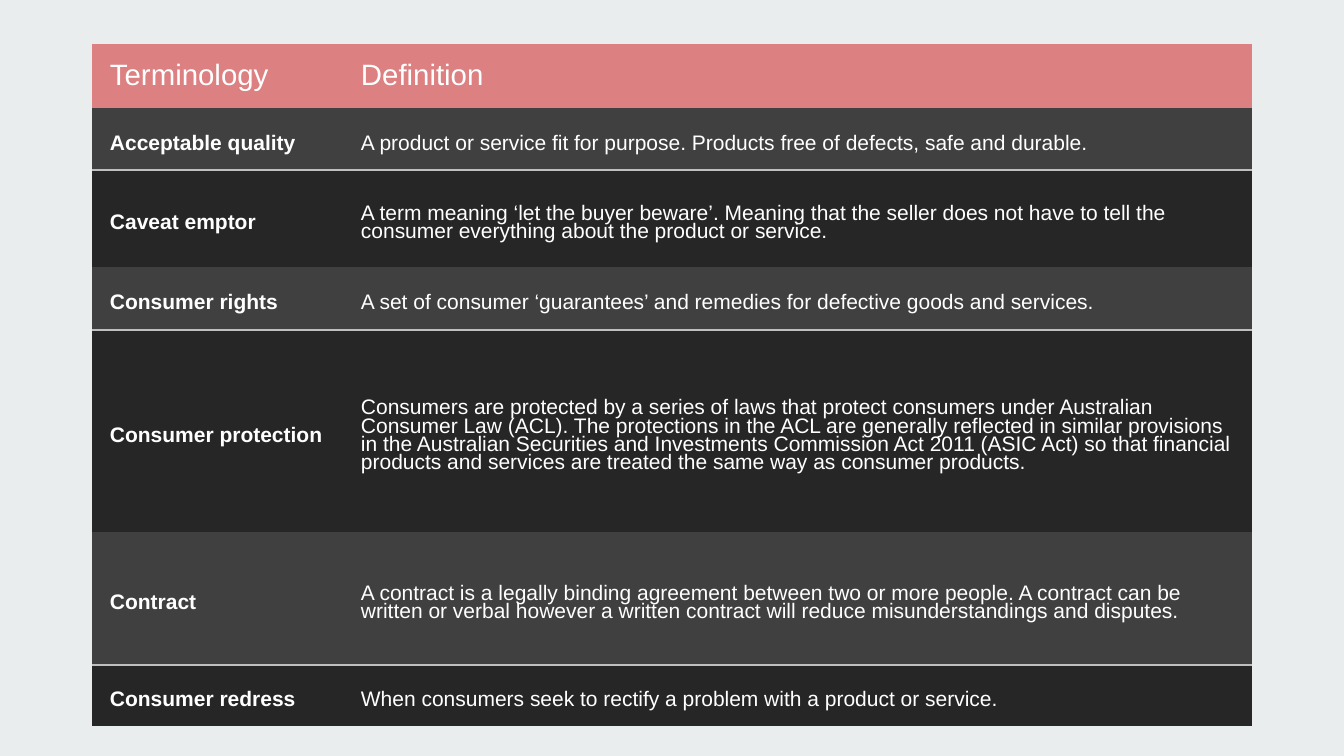
from dataclasses import dataclass

from lxml import etree
from pptx import Presentation
from pptx.dml.color import RGBColor
from pptx.enum.shapes import MSO_SHAPE
from pptx.enum.text import MSO_ANCHOR
from pptx.oxml.ns import qn
from pptx.util import Emu, Pt

RECT = MSO_SHAPE.RECTANGLE
MIDDLE = MSO_ANCHOR.MIDDLE
SCALE = 914400 / 100.8  # EMU in one px
WIDE, HIGH = 1344, 756


@dataclass(frozen=True)
class Theme:
    font: str = "Arial"
    paper: str = "FFFFFF"
    tint: str = "E2E6E8"
    text: str = "FFFFFF"
    head: str = "DC8081"
    light: str = "404040"
    dark: str = "262626"
    rule: str = "BFBFBF"
    head_size: int = 21
    body_size: int = 15
    leading: int = 13


THEME = Theme()
COLS = [251, 909]
ROWS = [64, 62, 97, 63, 202, 133, 61]
TERMS = [
    ("Terminology", "Definition"),
    ("Acceptable quality",
     "A product or service fit for purpose. Products free of defects, safe and durable."),
    ("Caveat emptor",
     "A term meaning ‘let the buyer beware’. Meaning that the seller does not have "
     "to tell the consumer everything about the product or service."),
    ("Consumer rights",
     "A set of consumer ‘guarantees’ and remedies for defective goods and services."),
    ("Consumer protection",
     "Consumers are protected by a series of laws that protect consumers under "
     "Australian Consumer Law (ACL). The protections in the ACL are generally "
     "reflected in similar provisions in the Australian Securities and Investments "
     "Commission Act 2011 (ASIC Act) so that financial products and services are "
     "treated the same way as consumer products."),
    ("Contract",
     "A contract is a legally binding agreement between two or more people. A contract "
     "can be written or verbal however a written contract will reduce "
     "misunderstandings and disputes."),
    ("Consumer redress",
     "When consumers seek to rectify a problem with a product or service."),
]


def px(n):
    return Emu(round(n * SCALE))


def paint(item, color):
    item.fill.solid()
    item.fill.fore_color.rgb = RGBColor.from_string(color)


def write(frame, text, size=THEME.body_size, bold=False, color=THEME.text):
    para = frame.paragraphs[0]
    para.line_spacing = Pt(THEME.leading)
    run = para.add_run()
    run.text = text
    run.font.name = THEME.font
    run.font.size = Pt(size)
    run.font.bold = bold
    run.font.color.rgb = RGBColor.from_string(color)


def add_back(slide, color, alpha=None):
    back = slide.shapes.add_shape(RECT, 0, 0, px(WIDE), px(HIGH))
    back.shadow.inherit = False
    back.line.fill.background()
    paint(back, color)
    if alpha:
        tone = back.fill._xPr.find(".//" + qn("a:srgbClr"))
        etree.SubElement(tone, qn("a:alpha"), val=str(alpha * 1000))


def set_edges(cell, ruled):
    """Draw a line on the ruled side and clear the other sides."""
    props = cell._tc.get_or_add_tcPr()
    for i, side in enumerate(("lnL", "lnR", "lnT", "lnB")):
        line = etree.Element(qn("a:" + side), w=str(Pt(1)))
        if side == ruled:
            fill = etree.SubElement(line, qn("a:solidFill"))
            etree.SubElement(fill, qn("a:srgbClr"), val=THEME.rule)
        else:
            etree.SubElement(line, qn("a:noFill"))
        props.insert(i, line)


def fill_cell(cell, text, color, ruled=None, **form):
    cell.margin_left = cell.margin_right = px(18)
    cell.margin_top, cell.margin_bottom = px(13), 0
    cell.vertical_anchor = MIDDLE
    paint(cell, color)
    set_edges(cell, ruled)
    write(cell.text_frame, text, **form)


def add_terms(slide, left, top):
    frame = slide.shapes.add_table(len(ROWS), len(COLS), px(left), px(top),
                                   px(sum(COLS)), px(sum(ROWS)))
    table = frame.table
    table.horz_banding = False
    for col, width in zip(table.columns, COLS):
        col.width = px(width)
    for row, height in zip(table.rows, ROWS):
        row.height = px(height)

    # Header, then light and dark rows in turn, ruled where they meet
    for r, pair in enumerate(TERMS):
        for c, text in enumerate(pair):
            cell = table.cell(r, c)
            if r == 0:
                fill_cell(cell, text, THEME.head, size=THEME.head_size)
            elif r % 2:
                fill_cell(cell, text, THEME.light, "lnB", bold=c == 0)
            else:
                fill_cell(cell, text, THEME.dark, "lnT", bold=c == 0)


def main():
    deck = Presentation()
    deck.slide_width, deck.slide_height = px(WIDE), px(HIGH)
    slide = deck.slides.add_slide(deck.slide_layouts[6])
    # Backdrop
    add_back(slide, THEME.paper)
    add_back(slide, THEME.tint, alpha=70)
    # Glossary
    add_terms(slide, 92, 44)
    deck.save("out.pptx")


if __name__ == "__main__":
    main()
